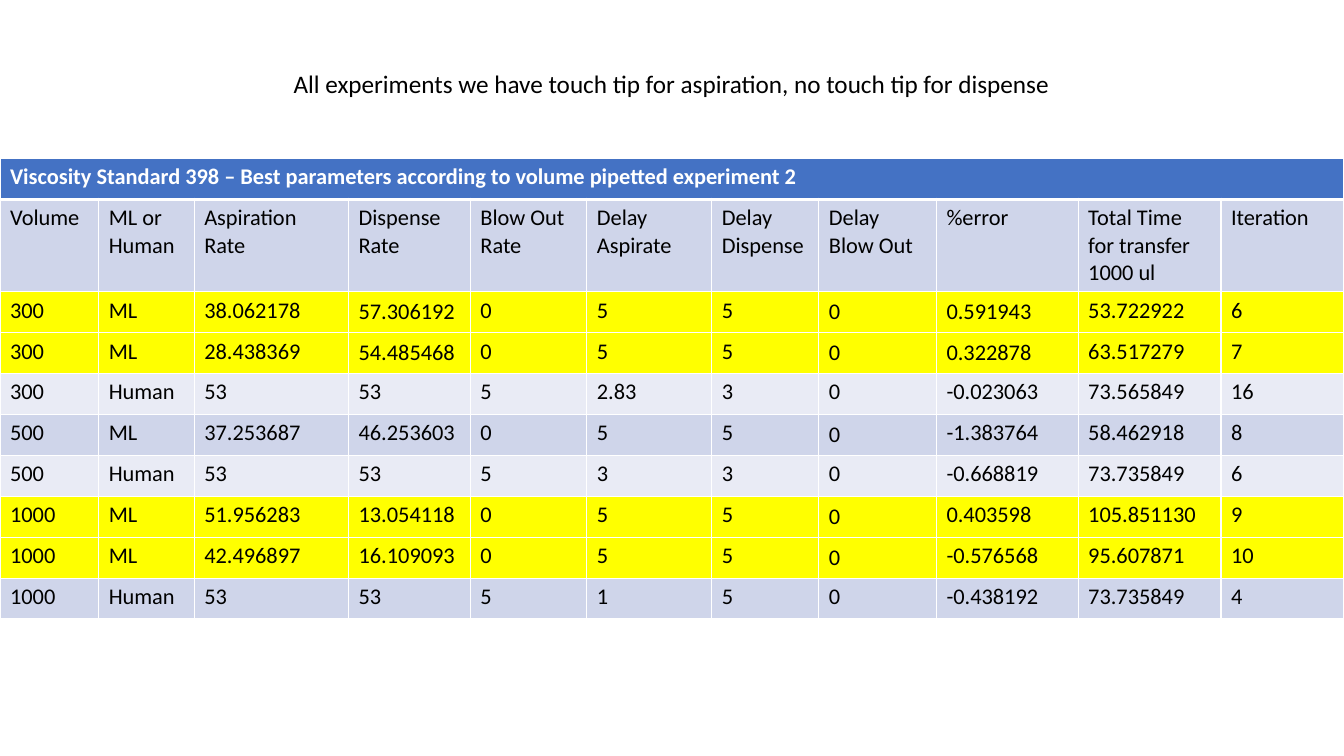
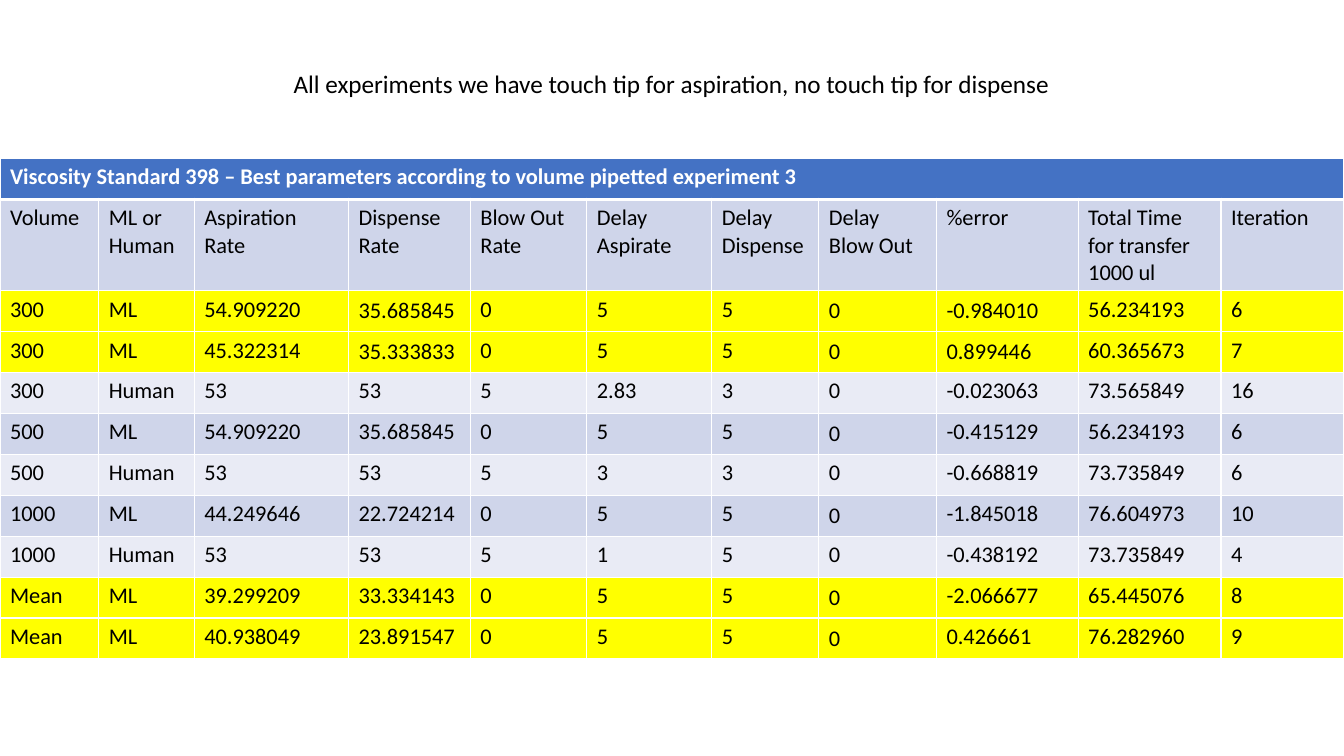
from dataclasses import dataclass

from lxml.etree import SubElement
from pptx import Presentation
from pptx.dml.color import RGBColor
from pptx.enum.text import MSO_ANCHOR as Anchor, MSO_AUTO_SIZE as AutoSize, PP_ALIGN as Align
from pptx.oxml.ns import qn
from pptx.util import Emu, Pt


@dataclass(frozen=True)
class Theme:
    font: str = "Calibri"
    text: str = "000000"
    white: str = "FFFFFF"
    title_fill: str = "4472C4"
    dark_band: str = "CFD5EA"
    light_band: str = "E9EBF5"
    highlight: str = "FFFF00"
    note_size: int = 18
    table_size: int = 16
    border: int = 1
    title_border: int = 3


THEME = Theme()
EMU_PER_PX = 9525

# Shared layout, in px
SLIDE_SIZE = (1280, 720)
NOTE_BOX = (187, 60, 905, 38)
TABLE_TOP = 151
COLUMN_WIDTHS = (94, 91, 147, 116, 111, 119, 102, 112, 135, 136, 117)
ROW_HEIGHT = 39
HEADING_HEIGHT = 87

# Shared wording
NOTE = "All experiments we have touch tip for aspiration, no touch tip for dispense"
TITLE = "Viscosity Standard 398 – Best parameters according to volume pipetted experiment {}"
HEADINGS = ("Volume", "ML or Human", "Aspiration Rate", "Dispense Rate", "Blow Out Rate",
            "Delay Aspirate", "Delay Dispense", "Delay Blow Out", "%error",
            "Total Time for transfer 1000 ul", "Iteration")
DISPENSE_RATE, DELAY_BLOW_OUT, ERROR = (
    HEADINGS.index(name) for name in ("Dispense Rate", "Delay Blow Out", "%error"))

# Human results, the same in every experiment
HUMAN_300 = "300 Human 53 53 5 2.83 3 0 -0.023063 73.565849 16"
HUMAN_500 = "500 Human 53 53 5 3 3 0 -0.668819 73.735849 6"
HUMAN_1000 = "1000 Human 53 53 5 1 5 0 -0.438192 73.735849 4"


@dataclass(frozen=True)
class Experiment:
    number: int
    highlighted_volumes: tuple
    results: tuple


EXPERIMENTS = (
    Experiment(2, ("300", "1000"), (
        "300 ML 38.062178 57.306192 0 5 5 0 0.591943 53.722922 6",
        "300 ML 28.438369 54.485468 0 5 5 0 0.322878 63.517279 7",
        HUMAN_300,
        "500 ML 37.253687 46.253603 0 5 5 0 -1.383764 58.462918 8",
        HUMAN_500,
        "1000 ML 51.956283 13.054118 0 5 5 0 0.403598 105.851130 9",
        "1000 ML 42.496897 16.109093 0 5 5 0 -0.576568 95.607871 10",
        HUMAN_1000,
    )),
    Experiment(3, ("300", "Mean"), (
        "300 ML 54.909220 35.685845 0 5 5 0 -0.984010 56.234193 6",
        "300 ML 45.322314 35.333833 0 5 5 0 0.899446 60.365673 7",
        HUMAN_300,
        "500 ML 54.909220 35.685845 0 5 5 0 -0.415129 56.234193 6",
        HUMAN_500,
        "1000 ML 44.249646 22.724214 0 5 5 0 -1.845018 76.604973 10",
        HUMAN_1000,
        "Mean ML 39.299209 33.334143 0 5 5 0 -2.066677 65.445076 8",
        "Mean ML 40.938049 23.891547 0 5 5 0 0.426661 76.282960 9",
    )),
)


def px(length):
    return Emu(length * EMU_PER_PX)


def format_text(text_frame, size, color, bold=False):
    for paragraph in text_frame.paragraphs:
        for run in paragraph.runs:
            run.font.name = THEME.font
            run.font.size = Pt(size)
            run.font.bold = bold
            run.font.color.rgb = RGBColor.from_string(color)


def add_note(slide):
    shape = slide.shapes.add_textbox(*map(px, NOTE_BOX))
    text_frame = shape.text_frame
    text_frame.word_wrap = True
    text_frame.auto_size = AutoSize.SHAPE_TO_FIT_TEXT
    text_frame.text = NOTE
    text_frame.paragraphs[0].alignment = Align.CENTER
    format_text(text_frame, THEME.note_size, THEME.text)


def set_borders(cell, top, bottom):
    widths = {"L": THEME.border, "R": THEME.border, "T": top, "B": bottom}
    properties = cell._tc.get_or_add_tcPr()
    for side, width in widths.items():
        line = SubElement(properties, qn(f"a:ln{side}"), w=str(Pt(width)))
        fill = SubElement(line, qn("a:solidFill"))
        SubElement(fill, qn("a:srgbClr"), val=THEME.white)


def style_cell(cell, fill, top=THEME.border, bottom=THEME.border):
    # Borders must precede the fill in the cell properties
    set_borders(cell, top, bottom)
    cell.fill.solid()
    cell.fill.fore_color.rgb = RGBColor.from_string(fill)


def fill_row(table, row_index, values, fill, top=THEME.border, centred=()):
    for column, value in enumerate(values):
        cell = table.cell(row_index, column)
        style_cell(cell, fill, top)
        cell.text_frame.text = value
        format_text(cell.text_frame, THEME.table_size, THEME.text)
        cell.vertical_anchor = Anchor.MIDDLE if column in centred else Anchor.TOP


def fill_title(table, title):
    last_column = len(HEADINGS) - 1
    for column in range(len(HEADINGS)):
        style_cell(table.cell(0, column), THEME.title_fill, bottom=THEME.title_border)
    cell = table.cell(0, 0)
    cell.merge(table.cell(0, last_column))
    cell.text_frame.text = title
    format_text(cell.text_frame, THEME.table_size, THEME.white, bold=True)


def centred_columns(volume, method):
    if method != "ML":
        return ()
    if volume == "300":
        return DISPENSE_RATE, DELAY_BLOW_OUT, ERROR
    return (DELAY_BLOW_OUT,)


def add_results_table(slide, experiment):
    heights = [ROW_HEIGHT, HEADING_HEIGHT] + [ROW_HEIGHT] * len(experiment.results)
    table = slide.shapes.add_table(
        len(heights), len(HEADINGS), px(0), px(TABLE_TOP),
        px(sum(COLUMN_WIDTHS)), px(sum(heights))).table
    for column, width in zip(table.columns, COLUMN_WIDTHS):
        column.width = px(width)
    for row, height in zip(table.rows, heights):
        row.height = px(height)

    # Title and headings
    fill_title(table, TITLE.format(experiment.number))
    fill_row(table, 1, HEADINGS, THEME.dark_band, top=THEME.title_border)

    # Results, banded unless highlighted
    for row_index, result in enumerate(experiment.results, start=2):
        values = result.split()
        volume, method = values[:2]
        fill = THEME.dark_band if row_index % 2 else THEME.light_band
        if method == "ML" and volume in experiment.highlighted_volumes:
            fill = THEME.highlight
        fill_row(table, row_index, values, fill, centred=centred_columns(volume, method))


def main():
    presentation = Presentation()
    presentation.slide_width, presentation.slide_height = map(px, SLIDE_SIZE)
    blank_layout = presentation.slide_layouts[6]
    for experiment in EXPERIMENTS:
        slide = presentation.slides.add_slide(blank_layout)
        add_results_table(slide, experiment)
        add_note(slide)
    presentation.save("out.pptx")


if __name__ == "__main__":
    main()
